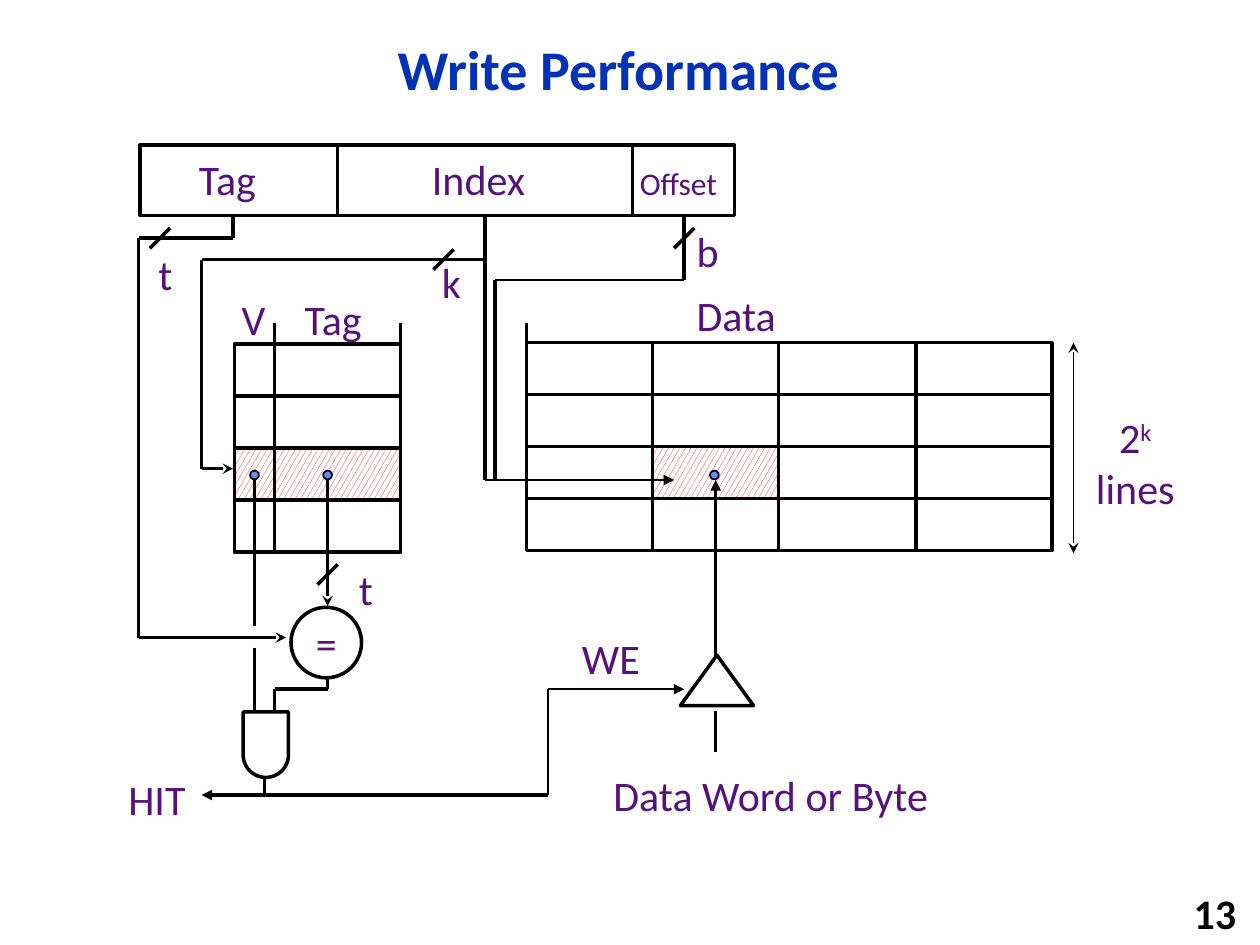
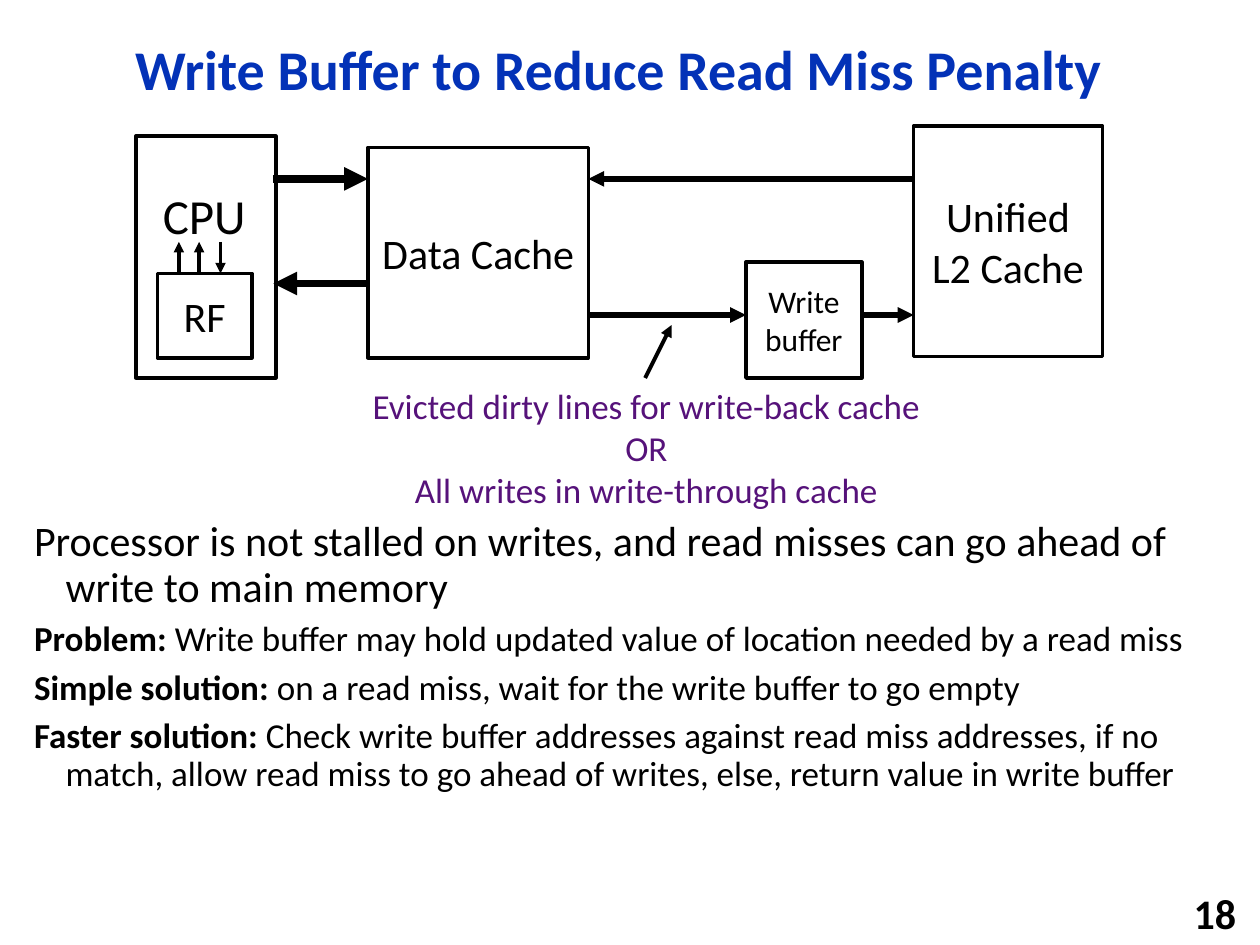
from dataclasses import dataclass
from itertools import pairwise

from lxml.etree import SubElement
from pptx import Presentation
from pptx.dml.color import RGBColor
from pptx.enum.dml import MSO_PATTERN
from pptx.enum.shapes import MSO_CONNECTOR, MSO_SHAPE as Shape
from pptx.enum.text import MSO_ANCHOR as Anchor, PP_ALIGN as Align
from pptx.oxml.ns import qn
from pptx.util import Inches, Pt


@dataclass(frozen=True)
class Theme:
    font: str = "Calibri"
    title: str = "0332B7"
    ink: str = "000000"
    label: str = "56127A"
    paper: str = "FFFFFF"
    hatch: str = "FC0128"
    dot: str = "618FFD"
    title_size: int = 32
    large: int = 28
    normal: int = 24
    medium: int = 20
    small: int = 18
    thin: float = 1
    stroke: float = 2
    bus: float = 3
    thick: float = 4.5


THEME = Theme()
SLIDE_SIZE = (10, 7.5)
TITLE_BOX = (0.92, 0.17, 7.98, 0.81)
NUMBER_BOX = (7.83, 7.08, 2.08, 0.32)

# ---- Content: cache write path (lengths in inches) ----
ADDRESS = {"columns": (1.11, 2.68, 5.02, 5.83), "top": 1.15, "bottom": 1.71, "rows": 1}
TAG_STORE = {"columns": (1.86, 2.18, 3.18), "top": 2.73, "bottom": 4.38, "rows": 4,
             "raised": (2.18, 3.18)}
DATA_STORE = {"columns": (4.18, 5.18, 6.18, 7.27, 8.35), "top": 2.72, "bottom": 4.37,
              "rows": 4, "raised": (4.18,)}
RAISED_TOP = 2.56
SELECTED_ROW = 2
SELECTED_CELLS = [(TAG_STORE, 0, 2), (DATA_STORE, 1, 2)]

# text, left, top, width, size
PATH_LABELS = [
    ("Tag", 1.48, 1.17, 0.75, THEME.normal),
    ("Index", 3.33, 1.17, 1.0, THEME.normal),
    ("Offset", 4.98, 1.25, 0.88, THEME.small),
    ("t", 1.16, 1.92, 0.4, THEME.normal),
    ("k", 3.41, 1.99, 0.4, THEME.normal),
    ("b", 5.43, 1.74, 0.4, THEME.normal),
    ("V", 1.82, 2.28, 0.45, THEME.normal),
    ("Tag", 2.32, 2.28, 0.75, THEME.normal),
    ("Data", 5.43, 2.25, 0.9, THEME.normal),
    ("t", 2.75, 4.42, 0.4, THEME.normal),
    ("WE", 4.52, 4.97, 0.75, THEME.normal),
    ("HIT", 0.92, 6.09, 0.75, THEME.normal),
    ("Data Word or Byte", 4.77, 6.06, 2.85, THEME.normal),
]
LINE_COUNT = [[("2", {}), ("k", {"superscript": True})], [("lines", {})]]
LINE_COUNT_BOX = (8.55, 3.22, 0.92, 0.91)

# points, width, head arrow, tail arrow
PATH_WIRES = [
    ([(1.85, 1.72), (1.85, 1.89), (1.1, 1.89), (1.1, 5.06), (2.27, 5.06)],
     THEME.stroke, None, "stealth"),
    ([(3.85, 2.06), (1.6, 2.06), (1.6, 3.72), (1.85, 3.72)], THEME.stroke, None, "stealth"),
    ([(3.85, 1.72), (3.85, 3.81)], THEME.stroke, None, None),
    ([(3.85, 3.81), (5.35, 3.81)], THEME.thin, None, "triangle"),
    ([(5.43, 1.72), (5.43, 2.22)], THEME.stroke, None, None),
    ([(5.43, 2.22), (3.93, 2.22)], THEME.thin, None, None),
    ([(3.93, 2.22), (3.93, 3.81)], THEME.stroke, None, None),
    ([(2.02, 3.81), (2.02, 4.97)], THEME.stroke, None, None),
    ([(2.02, 5.14), (2.02, 5.64)], THEME.stroke, None, None),
    ([(2.6, 3.81), (2.6, 4.81)], THEME.stroke, None, "stealth"),
    ([(2.6, 5.38), (2.6, 5.47), (2.18, 5.47), (2.18, 5.64)], THEME.stroke, None, None),
    ([(2.1, 6.16), (2.1, 6.31)], THEME.stroke, None, None),
    ([(1.6, 6.31), (4.35, 6.31)], THEME.stroke, "triangle", None),
    ([(4.35, 6.31), (4.35, 5.47), (5.43, 5.47)], THEME.thin, None, "triangle"),
    ([(5.68, 5.97), (5.68, 5.64)], THEME.stroke, None, None),
    ([(5.68, 5.22), (5.68, 3.81)], THEME.stroke, None, "triangle"),
    ([(8.52, 2.72), (8.52, 4.39)], THEME.thin, "stealth", "stealth"),
]
BUS_TICKS = [(1.27, 1.89), (3.52, 2.06), (5.43, 1.89), (2.6, 4.56)]
TICK_REACH = 0.08
DOT_CENTERS = [(2.02, 3.77), (2.6, 3.77), (5.67, 3.77)]
DOT_SIZE = 0.07
COMPARATOR = (2.31, 4.82, 0.56, 0.56)
AND_GATE = (1.93, 5.65, 0.36, 0.52)
WRITE_DRIVER = (5.4, 5.2, 0.58, 0.4)

# ---- Content: write buffer ----
# text, box, size
UNITS = [
    ("", (1.08, 1.08, 1.11, 1.92), THEME.normal),
    ("Data Cache", (2.92, 1.17, 1.75, 1.67), THEME.normal),
    ("Unified\nL2 Cache", (7.25, 1, 1.5, 1.83), THEME.normal),
    ("RF", (1.25, 2.17, 0.75, 0.67), THEME.normal),
    ("Write\nbuffer", (5.92, 2.08, 0.92, 0.92), THEME.small),
]
CAPTIONS = [
    ("CPU", (1.08, 1.42, 1.08, 0.57), THEME.large, THEME.ink),
    ("Evicted dirty lines for write-back cache\nOR\nAll writes in write-through cache",
     (2.17, 3, 5.92, 1.11), THEME.medium, THEME.label),
]
# start, end, width
FLOWS = [
    ((2.17, 1.42), (2.92, 1.42), THEME.thick),
    ((2.92, 2.25), (2.17, 2.25), THEME.thick),
    ((7.25, 1.42), (4.67, 1.42), THEME.bus),
    ((4.67, 2.5), (5.92, 2.5), THEME.bus),
    ((6.83, 2.5), (7.25, 2.5), THEME.bus),
    ((1.42, 2.17), (1.42, 1.92), THEME.stroke),
    ((1.58, 2.17), (1.58, 1.92), THEME.stroke),
    ((1.75, 1.92), (1.75, 2.17), THEME.stroke),
    ((5.12, 3), (5.33, 2.58), 2.25),
]
NOTES_BOX = (0.17, 4.08, 9.42, 2.67)
# bold lead, text, size
NOTES = [
    ("", "Processor is not stalled on writes, and read misses can go ahead of write to main memory",
     THEME.normal),
    ("Problem:", " Write buffer may hold updated value of location needed by a read miss",
     THEME.medium),
    ("Simple solution: ", "on a read miss, wait for the write buffer to go empty", THEME.medium),
    ("Faster solution:", " Check write buffer addresses against read miss addresses, if no match, "
     "allow read miss to go ahead of writes, else, return value in write buffer", THEME.medium),
]


# ---- Drawing helpers ----
def rgb(color):
    return RGBColor.from_string(color)


def assign(target, values):
    for name, value in values.items():
        setattr(target, name, value)


def place(shape, box):
    names = ("left", "top", "width", "height")
    assign(shape, dict(zip(names, map(Inches, box))))


def write(frame, lines, size, color=THEME.ink, bold=False, align=Align.LEFT,
          anchor=Anchor.TOP, inset=0.1, **para_format):
    """Fill a frame; lines is a string or a list of (text, format) span lists."""
    if isinstance(lines, str):
        lines = [[(line, {})] for line in lines.split("\n")]
    assign(frame, {"word_wrap": True, "vertical_anchor": anchor,
                   "margin_left": Inches(inset), "margin_right": Inches(inset),
                   "margin_top": Inches(0.05), "margin_bottom": Inches(0.05)})
    for number, spans in enumerate(lines):
        para = frame.add_paragraph() if number else frame.paragraphs[0]
        assign(para, {"alignment": align, **para_format})
        for text, style in spans:
            span = para.add_run()
            span.text = text
            assign(span.font, {"name": THEME.font, "size": Pt(style.get("size", size)),
                               "bold": style.get("bold", bold)})
            span.font.color.rgb = rgb(color)
            if style.get("superscript"):
                span._r.get_or_add_rPr().set("baseline", "30000")


def add_text(page, lines, box, size, color=THEME.label, **options):
    frame = page.shapes.add_textbox(*map(Inches, box)).text_frame
    write(frame, lines, size, color, **options)


def add_box(page, kind, box, fill=None, width=THEME.stroke):
    shape = page.shapes.add_shape(kind, *map(Inches, box))
    shape.shadow.inherit = False
    shape.line.color.rgb = rgb(THEME.ink)
    shape.line.width = Pt(width)
    if fill:
        shape.fill.solid()
        shape.fill.fore_color.rgb = rgb(fill)
    else:
        shape.fill.background()
    return shape


def add_wire(page, points, width=THEME.stroke, head=None, tail=None):
    segments = list(pairwise(points))
    for number, (start, end) in enumerate(segments):
        wire = page.shapes.add_connector(MSO_CONNECTOR.STRAIGHT, *map(Inches, start + end))
        wire.line.color.rgb = rgb(THEME.ink)
        wire.line.width = Pt(width)
        properties = wire.element.spPr
        outline = properties.find(qn("a:ln"))
        if head and number == 0:
            SubElement(outline, qn("a:headEnd"), type=head)
        if tail and number == len(segments) - 1:
            SubElement(outline, qn("a:tailEnd"), type=tail)
        SubElement(properties, qn("a:effectLst"))


def row_height(grid):
    return (grid["bottom"] - grid["top"]) / grid["rows"]


def add_grid(page, grid):
    columns, top, bottom = grid["columns"], grid["top"], grid["bottom"]
    left, right = columns[0], columns[-1]
    add_box(page, Shape.RECTANGLE, (left, top, right - left, bottom - top))
    for row in range(1, grid["rows"]):
        y = top + row * row_height(grid)
        add_wire(page, [(left, y), (right, y)])
    raised = grid.get("raised", ())
    for x in sorted({*columns[1:-1], *raised}):
        add_wire(page, [(x, RAISED_TOP if x in raised else top), (x, bottom)])


def highlight(page, grid, first, last):
    left, right = grid["columns"][first], grid["columns"][last]
    height = row_height(grid)
    top = grid["top"] + SELECTED_ROW * height
    cell = add_box(page, Shape.RECTANGLE, (left, top, right - left, height), width=THEME.thin)
    cell.fill.patterned()
    cell.fill.pattern = MSO_PATTERN.LARGE_CONFETTI
    cell.fill.fore_color.rgb = rgb(THEME.hatch)
    cell.fill.back_color.rgb = rgb(THEME.paper)


def add_page(deck, layout, title, number):
    page = deck.slides.add_slide(deck.slide_layouts.get_by_name(layout))
    place(page.shapes.title, TITLE_BOX)
    write(page.shapes.title.text_frame, title, THEME.title_size, THEME.title, bold=True,
          align=Align.CENTER, anchor=Anchor.MIDDLE, line_spacing=0.9)
    add_text(page, number, NUMBER_BOX, THEME.normal, THEME.ink, bold=True,
             align=Align.RIGHT, anchor=Anchor.MIDDLE)
    return page


# ---- Slides ----
def build_write_path(deck):
    page = add_page(deck, "Title Only", "Write Performance", "13")
    for selection in SELECTED_CELLS:
        highlight(page, *selection)
    for grid in (ADDRESS, TAG_STORE, DATA_STORE):
        add_grid(page, grid)

    # Logic symbols
    comparator = add_box(page, Shape.OVAL, COMPARATOR, THEME.paper)
    write(comparator.text_frame, "=", THEME.normal, THEME.label, align=Align.CENTER,
          anchor=Anchor.MIDDLE, inset=0)
    gate = add_box(page, Shape.ROUND_2_SAME_RECTANGLE, AND_GATE)
    gate.adjustments[0], gate.adjustments[1] = 0, 0.5
    add_box(page, Shape.ISOSCELES_TRIANGLE, WRITE_DRIVER)

    # Wires, bus ticks and tap points
    for wire in PATH_WIRES:
        add_wire(page, *wire)
    for x, y in BUS_TICKS:
        add_wire(page, [(x + TICK_REACH, y - TICK_REACH), (x - TICK_REACH, y + TICK_REACH)])
    for x, y in DOT_CENTERS:
        add_box(page, Shape.OVAL, (x - DOT_SIZE / 2, y - DOT_SIZE / 2, DOT_SIZE, DOT_SIZE),
                THEME.dot, THEME.thin)

    # Labels
    for text, left, top, width, size in PATH_LABELS:
        add_text(page, text, (left, top, width, 0.5), size)
    add_text(page, LINE_COUNT, LINE_COUNT_BOX, THEME.normal, align=Align.CENTER)


def build_write_buffer(deck):
    page = add_page(deck, "Title and Content", "Write Buffer to Reduce Read Miss Penalty", "18")

    # Block diagram
    for text, box, size in UNITS:
        unit = add_box(page, Shape.RECTANGLE, box, THEME.paper)
        if text:
            write(unit.text_frame, text, size, align=Align.CENTER, anchor=Anchor.MIDDLE,
                  inset=0.05)
    for start, end, width in FLOWS:
        add_wire(page, [start, end], width, tail="triangle")
    for text, box, size, color in CAPTIONS:
        add_text(page, text, box, size, color, align=Align.CENTER)

    # Notes with hanging indents
    body = page.placeholders[1]
    place(body, NOTES_BOX)
    lines = [[(text, {"size": size, "bold": bold})
              for text, bold in ((lead, True), (rest, False)) if text]
             for lead, rest, size in NOTES]
    write(body.text_frame, lines, THEME.medium, line_spacing=0.9)
    for para, (_, _, size) in zip(body.text_frame.paragraphs, NOTES):
        para.space_before = Pt(0.3 * size)
        properties = para._p.get_or_add_pPr()
        properties.set("marL", str(Inches(0.25)))
        properties.set("indent", str(Inches(-0.25)))
        SubElement(properties, qn("a:buNone"))


def main():
    deck = Presentation()
    deck.slide_width, deck.slide_height = map(Inches, SLIDE_SIZE)
    build_write_path(deck)
    build_write_buffer(deck)
    deck.save("out.pptx")


if __name__ == "__main__":
    main()
